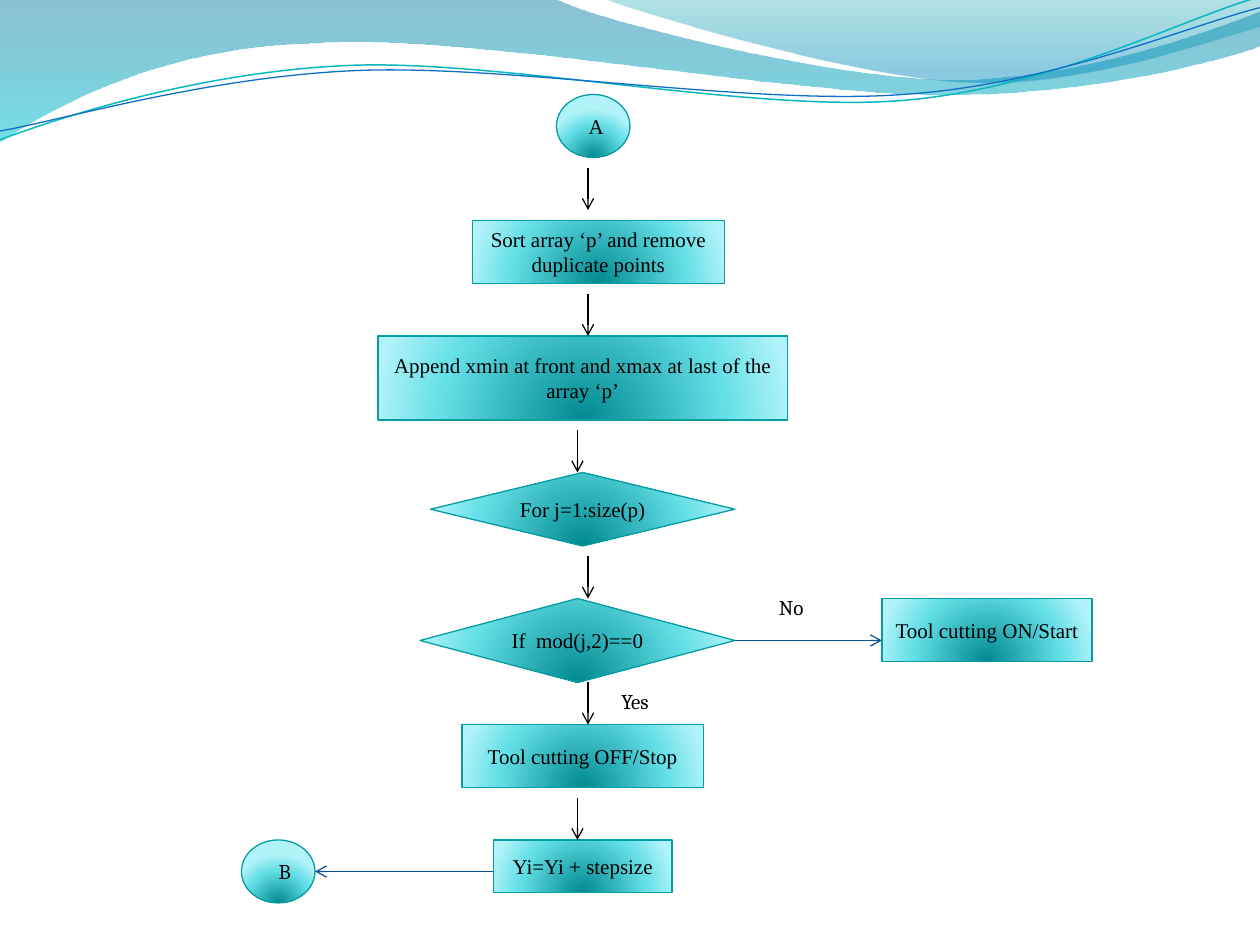
"""Build a flowchart slide, from connector A to connector B, under a wave banner."""
from dataclasses import dataclass
from math import cos, radians, sin

from pptx import Presentation
from pptx.dml.color import RGBColor
from pptx.enum.shapes import MSO_CONNECTOR, MSO_SHAPE
from pptx.enum.text import MSO_ANCHOR, MSO_AUTO_SIZE, PP_ALIGN
from pptx.oxml import parse_xml
from pptx.oxml.ns import nsdecls, qn
from pptx.util import Inches, Pt


@dataclass(frozen=True)
class Theme:
    serif: str = "Times New Roman"
    label: str = "Cambria"
    size: float = 12
    stroke: float = 0.75
    ink: str = "000000"
    outline: str = "069CA3"
    branch: str = "095295"
    glow: tuple = ((0, "008A91", 100), (68, "64DFE7", 100), (100, "B1F3F9", 100))


THEME = Theme()
WIDTH, HEIGHT = 10, 7.5
COLUMNS = 120
CELL = Inches(WIDTH) // COLUMNS
RIPPLE_TILT = -2.7
ARROW_ROWS = 4

BANNERS = [
    (((0, "0074A1", 45), (100, "00C6CF", 55)), (-0.01, -0.01, 10.02, 1.14),
     [(0, 0), (4.4, -0.01), (4.76, 0.17, 6.64, 0.63, 7.58, 0.63),
      (8.53, 0.63, 9.58, 0.26, 10, 0.09), (10.01, 0.36), (9.83, 0.44, 8.7, 0.76, 7.46, 0.75),
      (6.22, 0.75, 3.82, 0.28, 2.57, 0.34), (1.29, 0.36, 0.46, 0.83, -0.01, 1.13), (0, 0)]),
    (((0, "00A1A9", 30), (80, "008BBF", 45)), (4.79, -0.01, 5.21, 0.7),
     [(4.79, -0.01), (5.09, 0.11, 6.82, 0.62, 7.69, 0.65), (8.56, 0.69, 9.61, 0.32, 10, 0.21),
      (10, 0), (4.79, -0.01)]),
]
RIPPLES = [
    ("0AB8BF", 0.85, (-0.02, 0.22, 10.02, 0.71),
     [(0, 1.11), (0.48, 0.93, 1.58, 0.57, 2.77, 0.52), (3.95, 0.47, 5.93, 0.89, 7.13, 0.8),
      (8.33, 0.71, 9.38, 0.15, 9.98, -0.02)]),
    ("0F6FC6", 0.75, (-0.02, 0.3, 10.03, 0.58),
     [(0, 1.04), (0.47, 0.96, 1.64, 0.61, 2.83, 0.56), (4.03, 0.51, 5.97, 0.84, 7.17, 0.75),
      (8.36, 0.67, 9.41, 0.21, 10, 0.06)]),
]
STEPS = [
    ("Sort array ‘p’ and remove duplicate points", MSO_SHAPE.RECTANGLE, (45, 21, 24, 6)),
    ("Append xmin at front and xmax at last of the array ‘p’", MSO_SHAPE.RECTANGLE, (36, 32, 39, 8)),
    ("For j=1:size(p)", MSO_SHAPE.FLOWCHART_DECISION, (41, 45, 29, 7)),
    ("If  mod(j,2)==0", MSO_SHAPE.FLOWCHART_DECISION, (40, 57, 30, 8)),
    ("Tool cutting OFF/Stop", MSO_SHAPE.RECTANGLE, (44, 69, 23, 6)),
    ("Yi=Yi + stepsize", MSO_SHAPE.RECTANGLE, (47, 80, 17, 5)),
    ("Tool cutting ON/Start", MSO_SHAPE.RECTANGLE, (84, 57, 20, 6)),
]
TERMINALS = [
    ("A", THEME.serif, (53, 9, 7, 6), 0.17),
    ("B", THEME.label, (23, 80, 7, 6), 0.21),
]
FLOW_ARROWS = [(56, 16), (56, 28), (55, 41), (56, 53), (56, 65), (55, 76)]
BRANCH_ARROWS = [((70, 61), (84, 61)), ((47, 83), (30, 83))]
BRANCH_LABELS = [("Yes", (58, 65), (0.44, 0.3), False), ("No", (73, 56), (0.42, 0.3), True)]


def cells(lengths):
    return [length * CELL for length in lengths]


def set_gradient(shape, stops, direction):
    shape.fill.background()
    stop_list = "".join(
        f'<a:gs pos="{place * 1000}"><a:srgbClr val="{color}">'
        f'<a:alpha val="{opacity * 1000}"/></a:srgbClr></a:gs>'
        for place, color, opacity in stops)
    properties = shape._element.spPr
    properties.replace(properties.find(qn("a:noFill")), parse_xml(
        f'<a:gradFill {nsdecls("a")} rotWithShape="1"><a:gsLst>{stop_list}</a:gsLst>'
        f'{direction}</a:gradFill>'))


def set_line(line, color, width=THEME.stroke):
    line.color.rgb = RGBColor.from_string(color)
    line.width = Pt(width)


def write(frame, wording, font_name, align):
    frame.text = wording
    paragraph = frame.paragraphs[0]
    paragraph.alignment = align
    paragraph.font.name = font_name
    paragraph.font.size = Pt(THEME.size)
    paragraph.font.color.rgb = RGBColor.from_string(THEME.ink)


def add_wave(slide, box, segments, tilt=0):
    left, top, width, height = box
    builder = slide.shapes.build_freeform(Inches(left), Inches(top))
    builder.add_line_segments([(Inches(left + width), Inches(top + height))], close=False)
    wave = builder.convert_to_shape()
    wave.shadow.inherit = False
    wave.rotation = tilt
    outline = wave._element.spPr.find(".//" + qn("a:path"))
    for corner in list(outline):
        outline.remove(corner)
    turn = radians(-tilt)
    for index, segment in enumerate(segments):
        points = ""
        for x, y in zip(segment[::2], segment[1::2]):
            dx, dy = x - left - width / 2, y - top - height / 2
            across = Inches(width / 2 + dx * cos(turn) - dy * sin(turn))
            down = Inches(height / 2 + dx * sin(turn) + dy * cos(turn))
            points += f'<a:pt x="{across}" y="{down}"/>'
        command = "moveTo" if index == 0 else "lnTo" if len(segment) == 2 else "cubicBezTo"
        outline.append(parse_xml(f'<a:{command} {nsdecls("a")}>{points}</a:{command}>'))
    if segments[0] == segments[-1]:
        outline.append(parse_xml(f'<a:close {nsdecls("a")}/>'))
    return wave


def add_node(slide, wording, outline, box, font_name, align):
    node = slide.shapes.add_shape(outline, *cells(box))
    node.shadow.inherit = False
    set_gradient(node, THEME.glow, '<a:path path="circle"><a:fillToRect l="50000" t="130000" '
                                   'r="50000" b="-30000"/></a:path>')
    set_line(node.line, THEME.outline)
    node.text_frame.vertical_anchor = MSO_ANCHOR.MIDDLE
    write(node.text_frame, wording, font_name, align)
    return node


def add_arrow(slide, start, end, color):
    arrow = slide.shapes.add_connector(MSO_CONNECTOR.STRAIGHT, *cells(start + end))
    set_line(arrow.line, color)
    arrow.line._get_or_add_ln().append(parse_xml(f'<a:tailEnd {nsdecls("a")} type="arrow"/>'))
    arrow._element.spPr.append(parse_xml(f'<a:effectLst {nsdecls("a")}/>'))


def main():
    deck = Presentation()
    deck.slide_width, deck.slide_height = Inches(WIDTH), Inches(HEIGHT)
    slide = deck.slides.add_slide(deck.slide_layouts[6])

    for stops, box, segments in BANNERS:
        banner = add_wave(slide, box, segments)
        set_gradient(banner, stops, '<a:lin ang="5400000" scaled="0"/>')
        banner.line.fill.background()
    for color, width, box, segments in RIPPLES:
        ripple = add_wave(slide, box, segments, RIPPLE_TILT)
        ripple.fill.background()
        set_line(ripple.line, color, width)

    for wording, outline, box in STEPS:
        add_node(slide, wording, outline, box, THEME.serif, PP_ALIGN.CENTER)
    for letter, font_name, box, inset in TERMINALS:
        terminal = add_node(slide, letter, MSO_SHAPE.OVAL, box, font_name, PP_ALIGN.JUSTIFY)
        terminal.text_frame.margin_left = Inches(inset)

    for column, row in FLOW_ARROWS:
        add_arrow(slide, (column, row), (column, row + ARROW_ROWS), THEME.ink)
    for start, end in BRANCH_ARROWS:
        add_arrow(slide, start, end, THEME.branch)
    for answer, corner, size, wraps in BRANCH_LABELS:
        label = slide.shapes.add_textbox(*cells(corner), *map(Inches, size))
        label.text_frame.word_wrap = wraps
        label.text_frame.auto_size = MSO_AUTO_SIZE.SHAPE_TO_FIT_TEXT
        write(label.text_frame, answer, THEME.label, PP_ALIGN.LEFT)

    deck.save("out.pptx")


if __name__ == "__main__":
    main()
